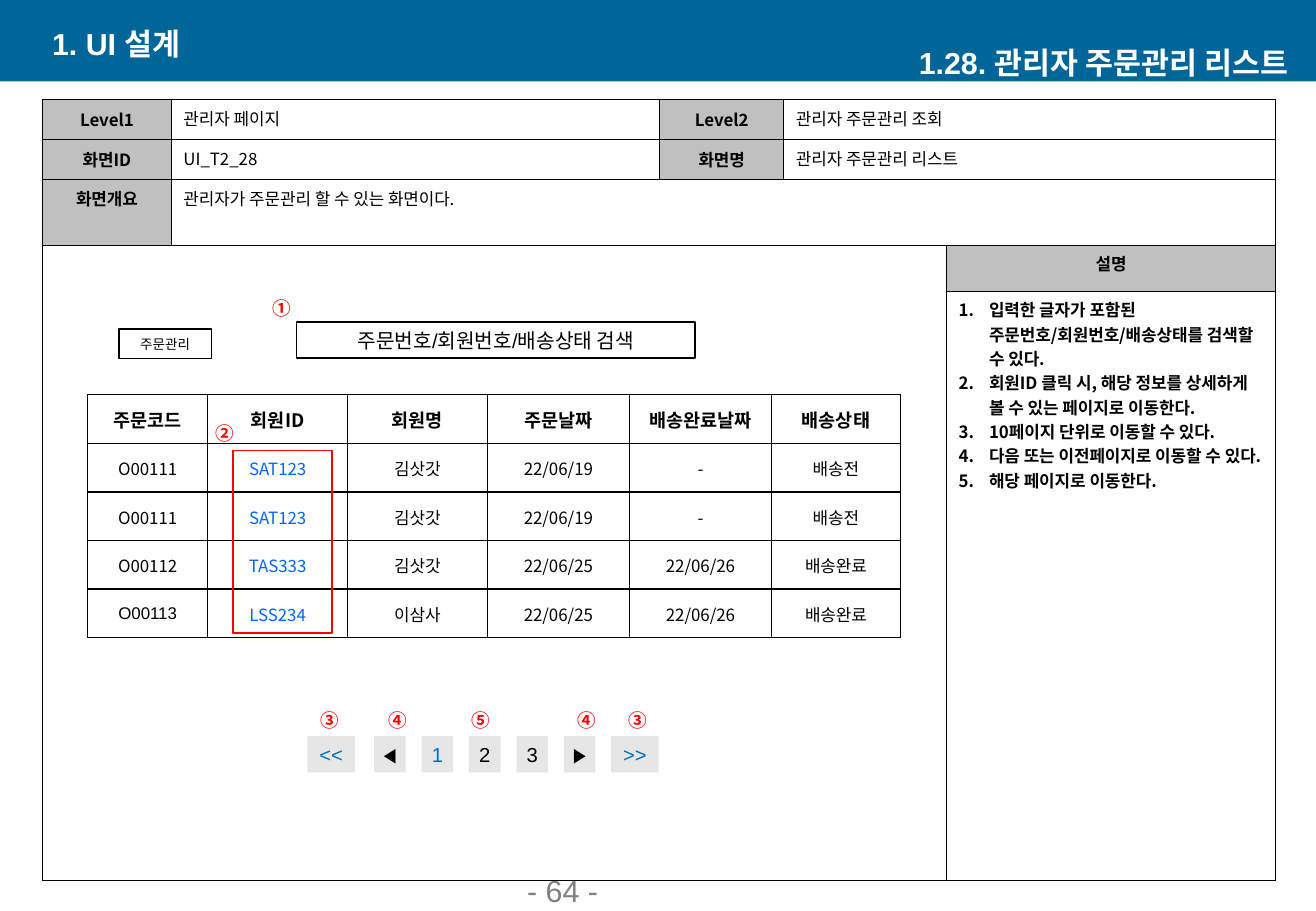
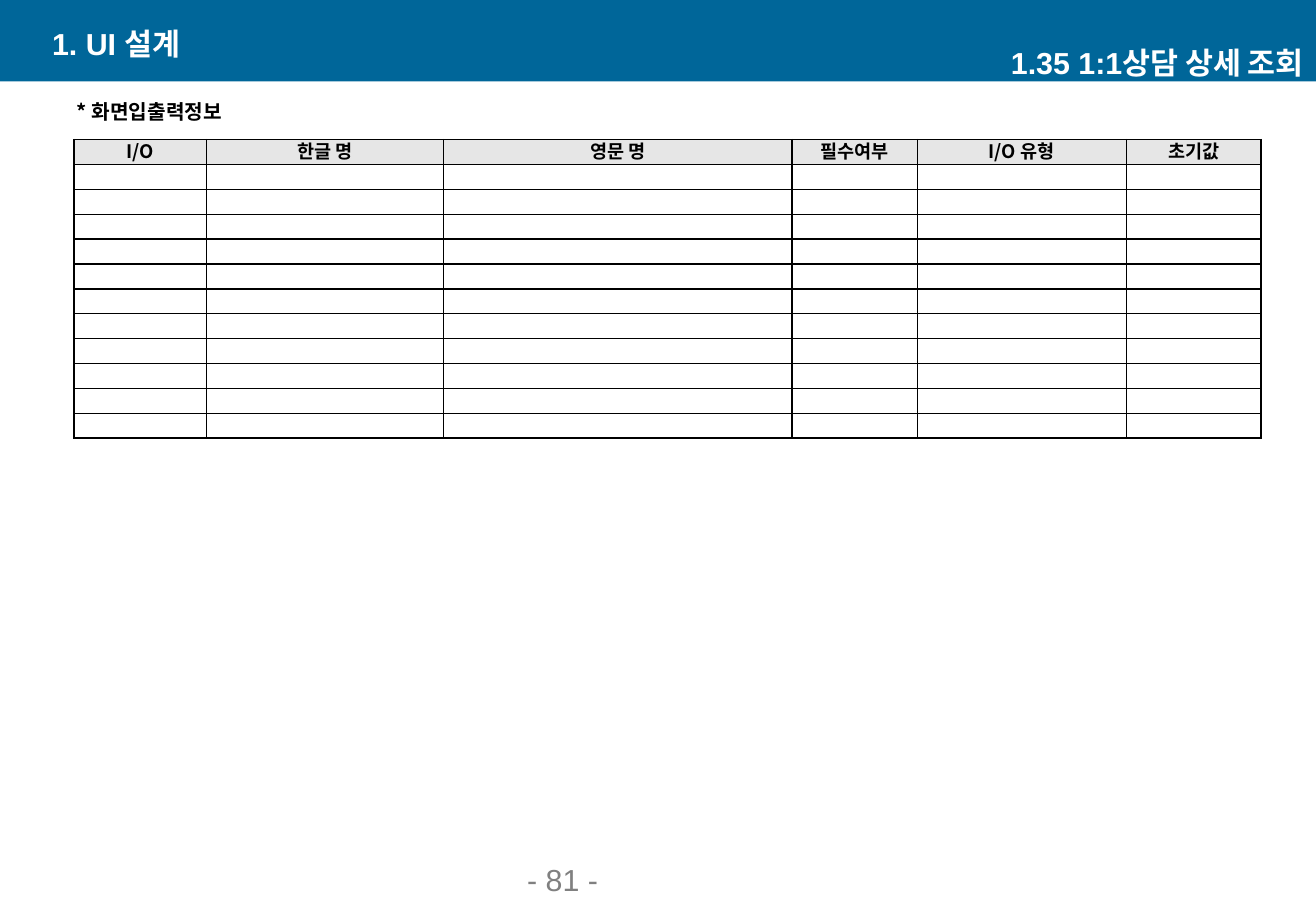
from lxml.etree import SubElement
from pptx import Presentation
from pptx.dml.color import RGBColor
from pptx.enum.shapes import MSO_SHAPE as Preset
from pptx.enum.text import MSO_ANCHOR as Anchor, MSO_AUTO_SIZE as AutoSize, PP_ALIGN as Align
from pptx.oxml.ns import qn
from pptx.util import Inches, Pt

BLACK, WHITE, RED, GRAY = "000000", "FFFFFF", "FF0000", "808080"
BAND, HEAD, PALE = "006699", "C0C0C0", "E6E6E6"
LINK, PAGER = "0066FF", "0070C0"
ARIAL, NOTO = "Arial", "Noto Sans CJK KR"
WIDTH, HEIGHT = 108.3, 75


def grid(cells):
    """Turn columns or rows of the tenth-of-an-inch grid into a length."""
    return Inches(cells / 10)


def rgb(code):
    return RGBColor.from_string(code)


def set_border(cell, color=BLACK, points=1):
    properties = cell._tc.get_or_add_tcPr()
    for side in ("lnL", "lnR", "lnT", "lnB"):
        line = SubElement(properties, qn(f"a:{side}"), w=str(Pt(points)))
        fill = SubElement(line, qn("a:solidFill"))
        SubElement(fill, qn("a:srgbClr"), val=color)


def number(para):
    properties = para._p.get_or_add_pPr()
    properties.set("marL", str(grid(2.5)))
    properties.set("indent", str(-grid(2.5)))
    SubElement(properties, qn("a:buAutoNum"), type="arabicPeriod")


def write(holder, text, size=10, color=BLACK, bold=False, font=NOTO, align=Align.LEFT,
          anchor=Anchor.TOP, margins=(1, 0.5, 1, 0.5), numbered=False, spacing=None):
    """Fill a text frame or table cell; margins are left, top, right, bottom."""
    holder.margin_left, holder.margin_top, holder.margin_right, holder.margin_bottom = map(grid, margins)
    holder.vertical_anchor = anchor
    frame = getattr(holder, "text_frame", holder)
    frame.text = text
    for para in frame.paragraphs:
        para.alignment = align
        if spacing:
            para.line_spacing = Pt(spacing)
        if numbered:
            number(para)
        if not para.runs:
            SubElement(para._p, qn("a:endParaRPr"), sz="800")
        for span in para.runs:
            span.font.size, span.font.bold, span.font.name = Pt(size), bold, font
            span.font.color.rgb = rgb(color)
            SubElement(span._r.get_or_add_rPr(), qn("a:ea"), typeface=NOTO)


class Deck:
    """Holds the shared style and the current slide."""

    def __init__(self):
        self.file = Presentation()
        self.file.slide_width, self.file.slide_height = grid(WIDTH), grid(HEIGHT)
        self.layout = self.file.slide_layouts[5]
        self.page = None

    def add_page(self, title, page_number, footer_at, title_margin=1):
        is_first = self.page is None
        self.page = self.file.slides.add_slide(self.layout)
        if is_first:
            band = self.box((0, 0, WIDTH, 6.7), fill=BAND)
            self.layout.shapes.element.insert(2, band.element)
        heading = dict(size=18, color=WHITE, bold=True, font=ARIAL, anchor=Anchor.MIDDLE)
        self.text((3.3, 1.9, 43.8, 3.3), "1. UI 설계", **heading)
        topic = self.page.shapes.title
        topic.left, topic.top, topic.width, topic.height = map(grid, (64.5, 3.5, 43.8, 3.3))
        topic.text_frame.auto_size = AutoSize.NONE
        write(topic.text_frame, title, align=Align.RIGHT,
              margins=(1, 0.5, title_margin, 0.5), **heading)
        self.text(footer_at, f"- {page_number} -", size=18, color=GRAY,
                  font=ARIAL, anchor=Anchor.BOTTOM)

    def text(self, at, text, **style):
        box = self.page.shapes.add_textbox(*map(grid, at))
        box.text_frame.word_wrap = True
        write(box.text_frame, text, **style)

    def box(self, at, text="", fill=None, line=None, points=1.0, **style):
        box = self.page.shapes.add_shape(Preset.RECTANGLE, *map(grid, at))
        box.shadow.inherit = False
        if fill:
            box.fill.solid()
            box.fill.fore_color.rgb = rgb(fill)
        else:
            box.fill.background()
        if line:
            box.line.color.rgb = rgb(line)
            box.line.width = Pt(points)
        else:
            box.line.fill.background()
        if text:
            write(box.text_frame, text, font=ARIAL, align=Align.CENTER,
                  anchor=Anchor.MIDDLE, margins=(0, 0, 0, 0), **style)
        return box

    def mark(self, left, top, sign):
        self.text((left, top, 3.4, 2.9), sign, size=11, color=RED, bold=True,
                  align=Align.CENTER, anchor=Anchor.MIDDLE, margins=(0, 0, 0, 0))

    def table(self, left, top, columns, heights, texts, look, merges=()):
        """Draw a table; look(row, column) gives a cell's fill and text style."""
        table = self.page.shapes.add_table(
            len(heights), len(columns), grid(left), grid(top),
            grid(sum(columns)), grid(sum(heights))).table
        table.first_row = table.horz_banding = False
        for column, width in zip(table.columns, columns):
            column.width = grid(width)
        for row, height in zip(table.rows, heights):
            row.height = grid(height)
        for start, end in merges:
            table.cell(*start).merge(table.cell(*end))
        for row, line in enumerate(texts):
            for column, text in enumerate(line):
                cell = table.cell(row, column)
                fill, style = look(row, column)
                set_border(cell)
                if fill:
                    cell.fill.solid()
                    cell.fill.fore_color.rgb = rgb(fill)
                else:
                    cell.fill.background()
                write(cell, text, **style)


def info_look(row, column):
    if (row, column) == (4, 4):
        return None, dict(bold=True, numbered=True)
    is_label = (column == 0 and row < 3) or (column == 2 and row < 2) or (row, column) == (3, 4)
    if is_label:
        anchor = Anchor.MIDDLE if row < 2 else Anchor.TOP
        return HEAD, dict(bold=True, align=Align.CENTER, anchor=anchor)
    return None, {}


def order_look(row, column):
    is_head = row == 0
    return WHITE, dict(
        size=11 if is_head else 10, bold=is_head,
        color=LINK if column == 1 and not is_head else BLACK,
        font=ARIAL if column == 0 and row in (0, 4) else NOTO,
        align=Align.CENTER, anchor=Anchor.MIDDLE, margins=(0.1, 0.1, 0.1, 0))


def field_look(row, column):
    return PALE if row == 0 else None, dict(
        size=11, bold=True, align=Align.CENTER, anchor=Anchor.MIDDLE,
        margins=(0.7, 0, 0.7, 0), spacing=14 if row == 0 else None)


def add_order_list(deck):
    deck.add_page("1.28. 관리자 주문관리 리스트", 64, (42.4, 73, 22.6, 2.3), title_margin=2.3)
    notes = "\n".join([
        "입력한 글자가 포함된 주문번호/회원번호/배송상태를 검색할 수 있다.",
        "회원ID 클릭 시, 해당 정보를 상세하게 볼 수 있는 페이지로 이동한다.",
        "10페이지 단위로 이동할 수 있다.",
        "다음 또는 이전페이지로 이동할 수 있다.",
        "해당 페이지로 이동한다.",
    ])
    info = [
        ["Level1", "관리자 페이지", "Level2", "관리자 주문관리 조회", ""],
        ["화면ID", "UI_T2_28", "화면명", "관리자 주문관리 리스트", ""],
        ["화면개요", "관리자가 주문관리 할 수 있는 화면이다.", "", "", ""],
        ["", "", "", "", "설명"],
        ["", "", "", "", notes],
    ]
    merges = [((0, 3), (0, 4)), ((1, 3), (1, 4)), ((2, 1), (2, 4)), ((3, 0), (4, 3))]
    deck.table(3.5, 8.2, [10.6, 40.2, 10.2, 13.4, 27.1], [3.3, 3.3, 5.4, 3.8, 48.5],
               info, info_look, merges)

    deck.box((24.4, 26.5, 32.8, 3), "주문번호/회원번호/배송상태 검색", WHITE, BLACK, size=12)
    deck.box((9.8, 27.1, 7.6, 2.4), "주문관리", line=BLACK, points=0.75, size=8)
    orders = [
        ["주문코드", "회원ID", "회원명", "주문날짜", "배송완료날짜", "배송상태"],
        ["O00111", "SAT123", "김삿갓", "22/06/19", "-", "배송전"],
        ["O00111", "SAT123", "김삿갓", "22/06/19", "-", "배송전"],
        ["O00112", "TAS333", "김삿갓", "22/06/25", "22/06/26", "배송완료"],
        ["O00113", "LSS234", "이삼사", "22/06/25", "22/06/26", "배송완료"],
    ]
    deck.table(7.2, 32.5, [9.9, 11.5, 11.5, 11.7, 11.7, 10.6], [4] * 5, orders, order_look)
    deck.box((19.2, 37.1, 8.1, 15), line=RED)

    deck.box((25.3, 60.6, 3.9, 3), "<<", PALE, size=12, color=PAGER)
    pager = [("◀", BLACK), ("1", PAGER), ("2", BLACK), ("3", BLACK), ("▶", BLACK), (">>", PAGER)]
    for index, (label, color) in enumerate(pager):
        width = 3.9 if label == ">>" else 2.6
        deck.box((30.8 + 3.9 * index, 60.6, width, 3), label, PALE, size=12, color=color)

    for left, top, sign in [(21.5, 23.9, "①"), (16.8, 34.2, "②"), (25.4, 57.8, "③"),
                            (31, 57.8, "④"), (37.9, 57.8, "⑤"), (46.6, 57.8, "④"),
                            (50.8, 57.8, "③")]:
        deck.mark(left, top, sign)


def add_field_list(deck):
    deck.add_page("1.35 1:1상담 상세 조회", 81, (42.4, 71.3, 22.6, 3.1))
    deck.text((4.7, 7.7, 15.2, 2.9), "* 화면입출력정보", size=12, bold=True,
              align=Align.CENTER, anchor=Anchor.MIDDLE, margins=(0, 0, 0, 0))
    heads = ["I/O", "한글 명", "영문 명", "필수여부", "I/O 유형", "초기값"]
    blanks = [[""] * len(heads)] * 11
    deck.table(6.1, 11.5, [10.9, 19.5, 28.7, 10.3, 17.2, 11.1], [2.05] * 12,
               [heads] + blanks, field_look)


def main():
    deck = Deck()
    add_order_list(deck)
    add_field_list(deck)
    deck.file.save("out.pptx")


if __name__ == "__main__":
    main()
